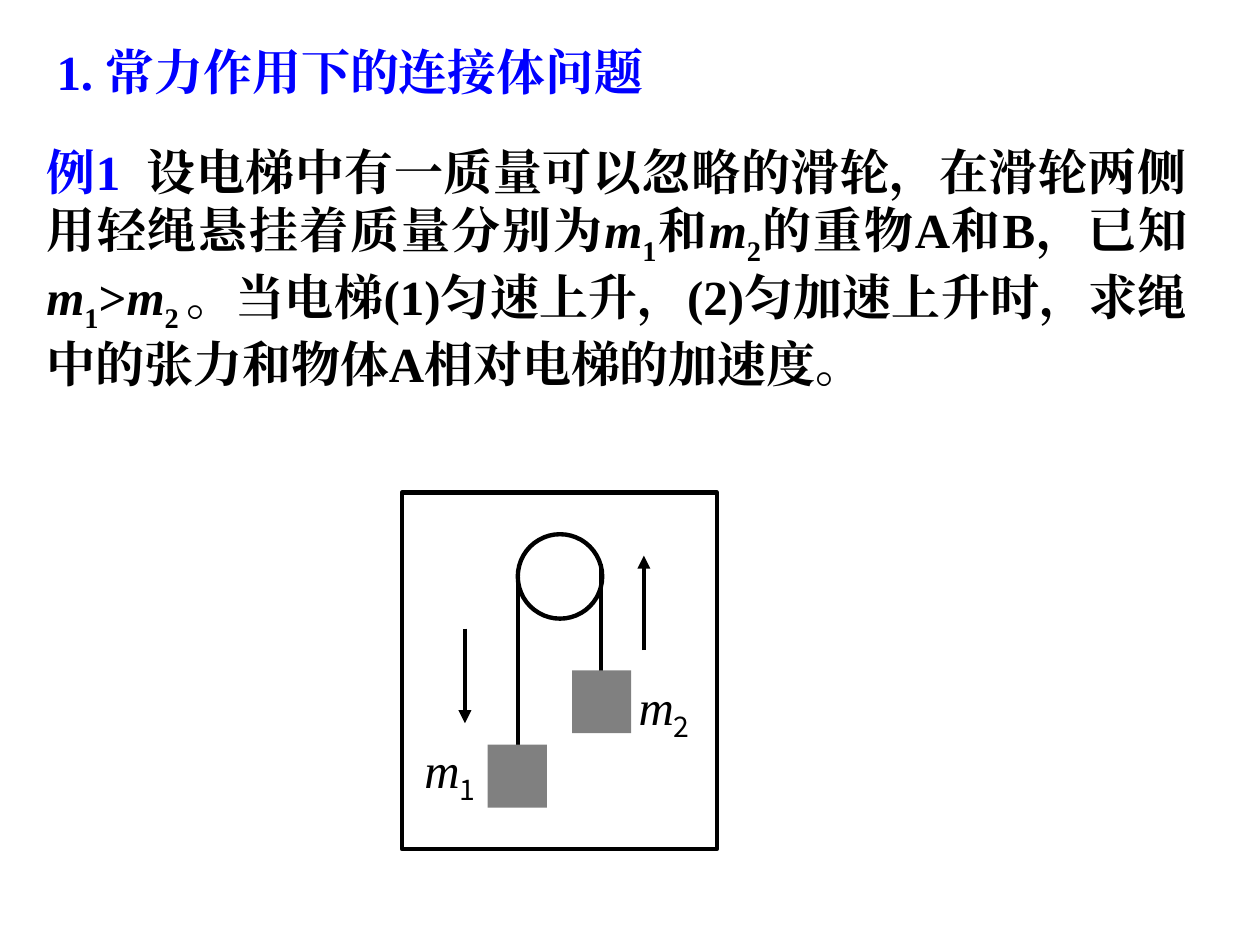
"""Build the slide on connected bodies under a constant force."""
from lxml import etree
from pptx import Presentation
from pptx.dml.color import RGBColor
from pptx.enum.shapes import MSO_CONNECTOR, MSO_SHAPE
from pptx.enum.text import MSO_AUTO_SIZE, PP_ALIGN
from pptx.oxml.ns import qn
from pptx.util import Inches, Pt

LINE = MSO_CONNECTOR.STRAIGHT
RECT, OVAL = MSO_SHAPE.RECTANGLE, MSO_SHAPE.OVAL
GROW, JUST = MSO_AUTO_SIZE.SHAPE_TO_FIT_TEXT, PP_ALIGN.JUSTIFY
FACE, SANS = "Times New Roman", "Noto Sans CJK SC"
BLUE, BLACK, GRAY = "0000FF", "000000", "808080"
BASE = {"size": Pt(28), "name": FACE}
BOLD = {**BASE, "bold": True}
SLANT = {"italic": True}


def paint(part, shade):
    part.rgb = RGBColor.from_string(shade)


def write(home, place, runs, base, wrap=True, align=None):
    box = home.add_textbox(*map(Inches, place))
    frame = box.text_frame
    for key, value in {"word_wrap": wrap, "auto_size": GROW}.items():
        setattr(frame, key, value)
    para = frame.paragraphs[0]
    para.alignment = align
    for text, shade, look, drop in runs:
        run = para.add_run()
        run.text = text
        for key, value in {**base, **look}.items():
            setattr(run.font, key, value)
        paint(run.font.fill.fore_color if run.font.fill.solid() else run.font.color, shade)
        props = run._r.get_or_add_rPr()
        etree.SubElement(props, qn("a:ea")).set("typeface", run.font.name)
        if drop:
            props.set("baseline", "-25000")


deck = Presentation()
deck.slide_width, deck.slide_height = Inches(10), Inches(7.5)
slide = deck.slides.add_slide(deck.slide_layouts[6])

title = [("1. 常力作用下的连接体问题", BLUE, {}, False)]
write(slide.shapes, (0.35, 0.28, 5.99, 0.57), title, BOLD)

task = [("例1  ", BLUE, {}, False)]
pieces = [
    ("设电梯中有一质量可以忽略的滑轮，在滑轮两侧用轻绳悬挂着质量分别为", "1"),
    ("和", "2"),
    ("的重物A和B，已知", "1"),
    (">", "2 "),
]
for text, index in pieces:
    task += [
        (text, BLACK, {}, False),
        ("m", BLACK, SLANT, False),
        (index, BLACK, {}, True),
    ]
ending = "。当电梯(1)匀速上升，(2)匀加速上升时，求绳中的张力和物体A相对电梯的加速度。"
task.append((ending, BLACK, {}, False))
write(slide.shapes, (0.27, 1.07, 9.25, 1.98), task, BOLD, align=JUST)

lift = slide.shapes.add_group_shape().shapes
parts = [
    (RECT, (3.19, 3.91, 2.5, 2.83), None),
    (OVAL, (4.11, 4.24, 0.67, 0.67), None),
    (LINE, (4.11, 4.57, 4.11, 5.91), False),
    (LINE, (4.77, 4.48, 4.77, 5.4), False),
    (RECT, (3.87, 5.91, 0.47, 0.5), GRAY),
    (RECT, (4.54, 5.32, 0.47, 0.5), GRAY),
    (LINE, (3.69, 4.99, 3.69, 5.74), True),
    (LINE, (5.11, 5.16, 5.11, 4.41), True),
]
for kind, place, style in parts:
    spot = map(Inches, place)
    if kind is LINE:
        item = lift.add_connector(kind, *spot)
    else:
        item = lift.add_shape(kind, *spot)
        item.shadow.inherit = False
        if style:
            item.fill.solid()
            paint(item.fill.fore_color, style)
            item.line.fill.background()
            continue
        item.fill.background()
    item.line.width = Pt(2.5)
    paint(item.line.color, BLACK)
    if kind is LINE:
        if style:
            etree.SubElement(item.line._get_or_add_ln(), qn("a:tailEnd")).set("type", "triangle")
        etree.SubElement(item._element.spPr, qn("a:effectLst"))

for index, left, top in (("1", 3.27, 5.82), ("2", 4.97, 5.32)):
    label = [("m", BLACK, SLANT, False), (index, BLACK, {"name": SANS}, True)]
    write(lift, (left, top, 0.64, 0.57), label, BASE, wrap=False)

deck.save("out.pptx")
